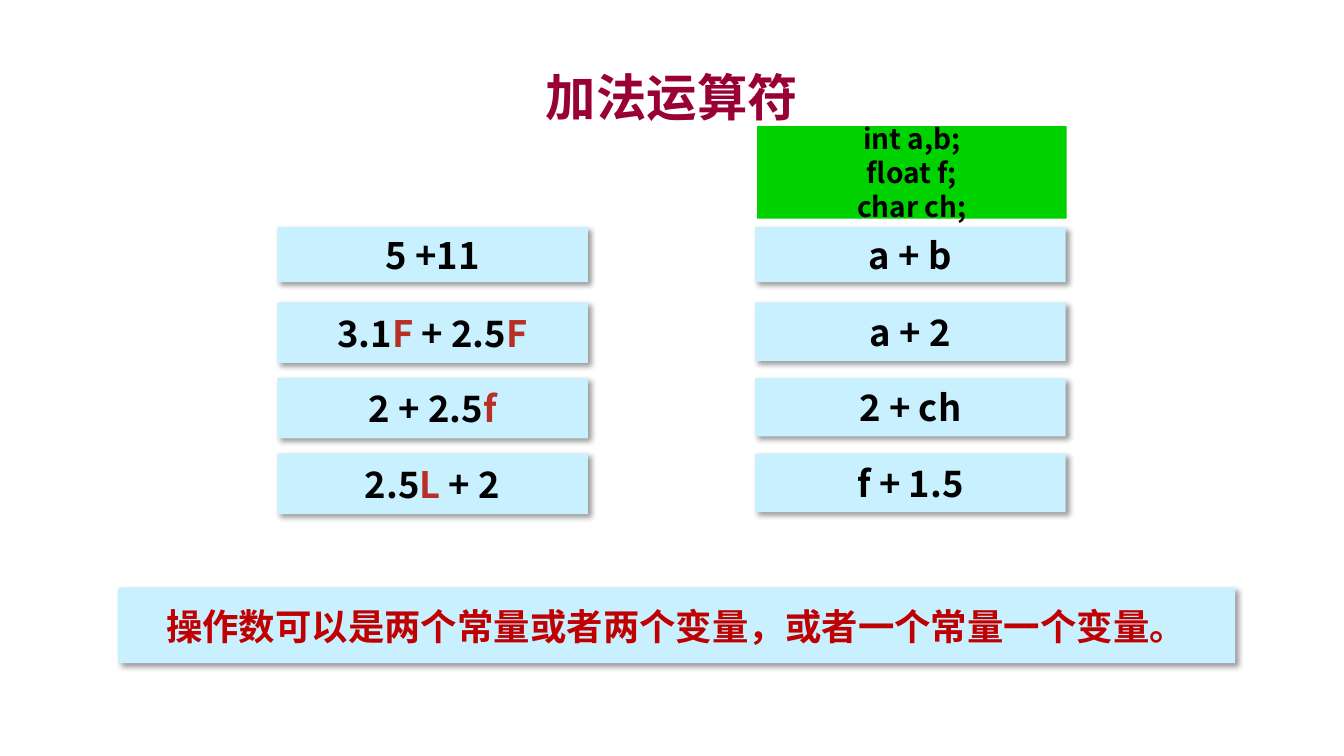
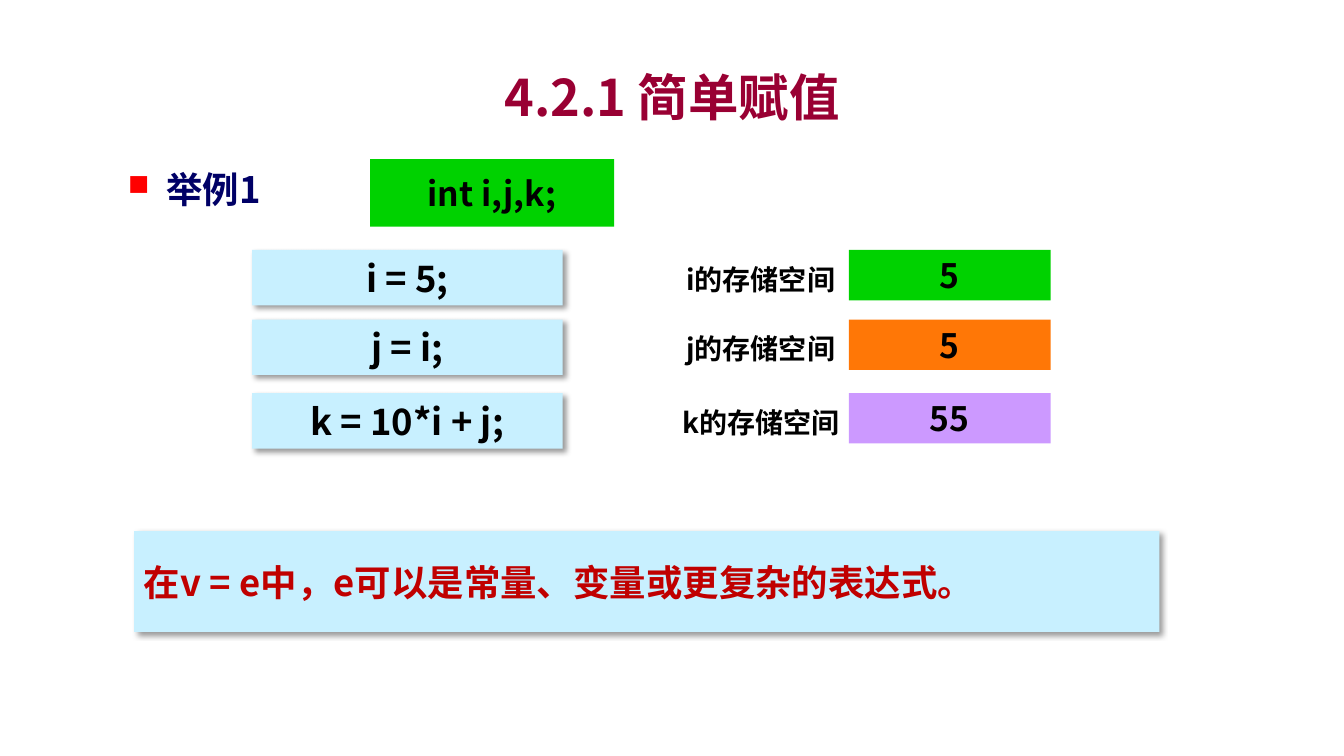
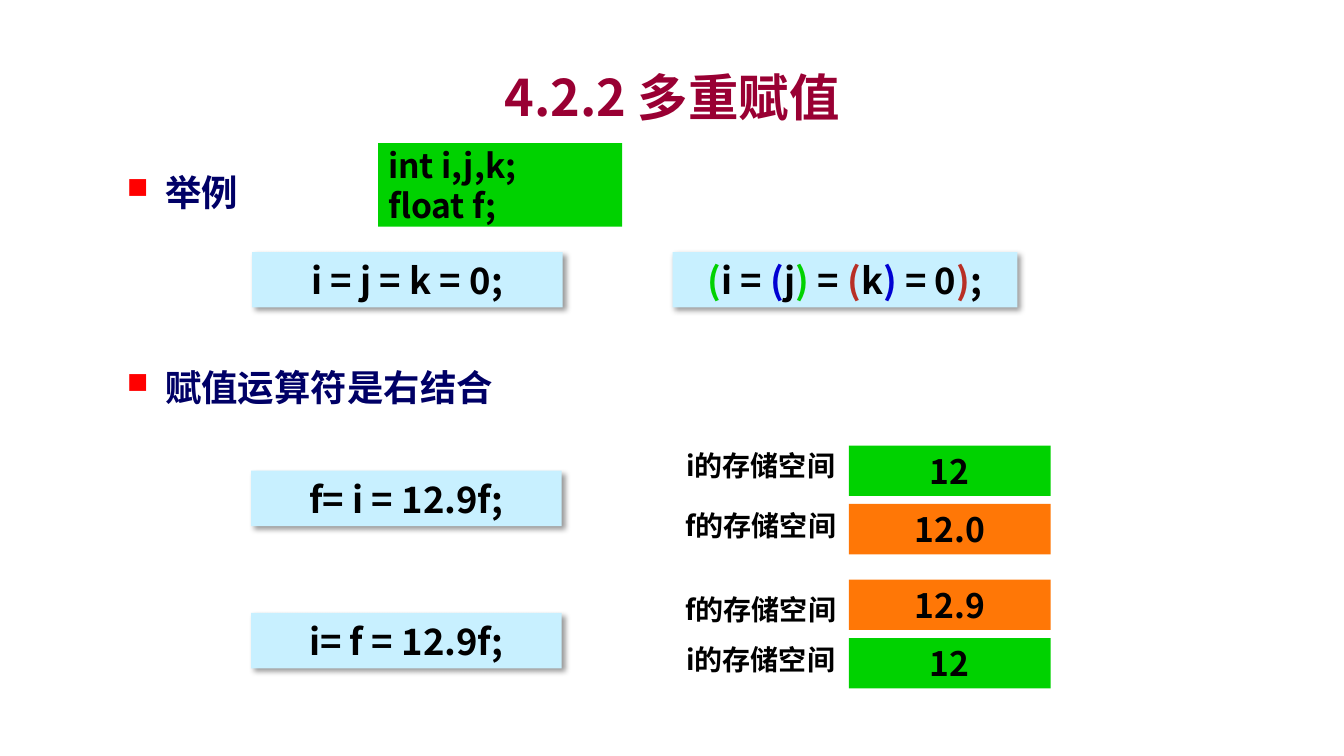
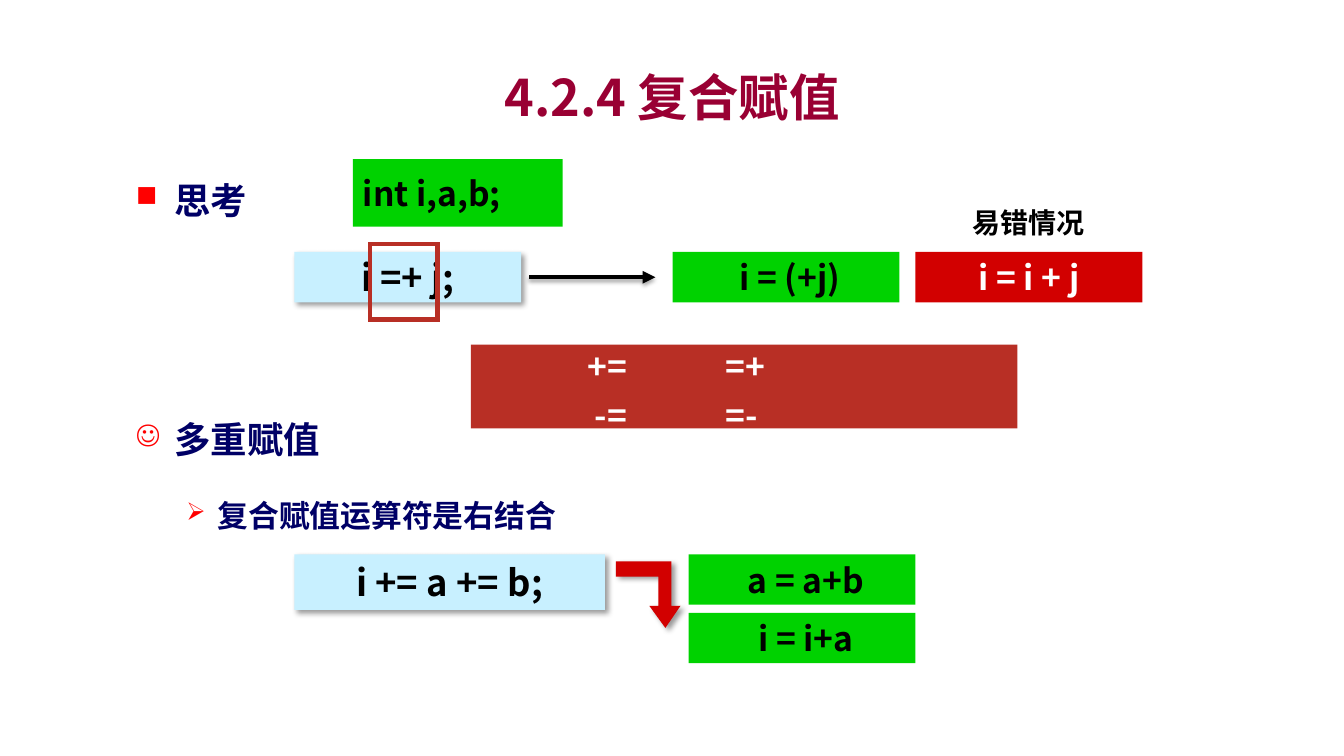
"""Build four lecture slides on addition and assignment operators."""
from dataclasses import dataclass

from lxml import etree
from pptx import Presentation
from pptx.dml.color import RGBColor as RGB
from pptx.enum.shapes import MSO_CONNECTOR as CONNECTOR, MSO_SHAPE as SHAPE
from pptx.enum.text import MSO_ANCHOR as ANCHOR, PP_ALIGN as ALIGN
from pptx.oxml.ns import qn
from pptx.util import Inches, Pt


@dataclass(frozen=True)
class Theme:
    font: str = "Noto Sans CJK SC"
    black: str = "000000"
    white: str = "FFFFFF"
    title: str = "990033"
    heading: str = "000066"
    bullet: str = "FF0000"
    pale: str = "C8F0FF"
    green: str = "00D200"
    orange: str = "FF7706"
    violet: str = "CC99FF"
    red: str = "D20000"
    brick: str = "B82F25"
    blue: str = "0000D2"
    note: str = "C00000"
    title_size: int = 36
    code_size: int = 26
    value_size: int = 24
    sub_size: int = 22
    label_size: int = 20


T = Theme()


def drop_shadow(sp, alpha=40, blur=4, dist=3, angle=45):
    effects = sp._element.spPr.find(qn("a:effectLst"))
    if effects is None:
        effects = etree.SubElement(sp._element.spPr, qn("a:effectLst"))
    shadow = etree.SubElement(effects, qn("a:outerShdw"), blurRad=str(Pt(blur)), dist=str(Pt(dist)),
                              dir=str(angle * 60000), algn="ctr", rotWithShape="0")
    color = etree.SubElement(shadow, qn("a:srgbClr"), val=T.black)
    etree.SubElement(color, qn("a:alpha"), val=str(alpha * 1000))


def add_box(s, at, lines, fill=None, size=T.value_size, ink=T.black, align=ALIGN.CENTER):
    left, top, width, height = (Inches(v) for v in at)
    if fill:
        sp = s.shapes.add_shape(SHAPE.RECTANGLE, left, top, width, height)
        sp.fill.solid()
        sp.fill.fore_color.rgb = RGB.from_string(fill)
        sp.line.fill.background()
        sp.shadow.inherit = False
        if fill == T.pale:
            drop_shadow(sp)
    else:
        sp = s.shapes.add_textbox(left, top, width, height)
    tf = sp.text_frame
    tf.word_wrap = align == ALIGN.LEFT
    tf.vertical_anchor = ANCHOR.MIDDLE
    for i, line in enumerate(lines):
        p = tf.add_paragraph() if i else tf.paragraphs[0]
        p.alignment = align
        p.font.name = T.font
        p.font.size = Pt(size)
        p.font.bold = True
        p.font.color.rgb = RGB.from_string(ink)
        etree.SubElement(p._p.pPr.find(qn("a:defRPr")), qn("a:ea"), typeface=T.font)
        for text, color in [(line, None)] if isinstance(line, str) else line:
            r = p.add_run()
            r.text = text
            if color:
                r.font.color.rgb = RGB.from_string(color)
    return sp


prs = Presentation()
prs.slide_width, prs.slide_height = Inches(13.33), Inches(7.5)
slides = []
for title in ("加法运算符", "4.2.1 简单赋值", "4.2.2 多重赋值", "4.2.4 复合赋值"):
    s = prs.slides.add_slide(prs.slide_layouts[6])
    add_box(s, (1, 0.58, 11.33, 0.75), [title], size=T.title_size, ink=T.title)
    slides.append(s)
addition, simple, multiple, compound = slides

bullets = [
    (simple, 1.17, 1.62, "■", "举例1", T.code_size, 0.38),
    (multiple, 1.16, 1.65, "■", "举例", T.code_size, 0.38),
    (multiple, 1.16, 3.59, "■", "赋值运算符是右结合", T.code_size, 0.38),
    (compound, 1.25, 1.73, "■", "思考", T.code_size, 0.38),
    (compound, 1.25, 4.11, "☺", "多重赋值", T.code_size, 0.38),
    (compound, 1.75, 4.86, "➢", "复合赋值运算符是右结合", T.sub_size, 0.31),
]
for s, left, top, mark, text, size, indent in bullets:
    sp = add_box(s, (left, top, 5, 0.5), [text], size=size, ink=T.heading, align=ALIGN.LEFT)
    pPr = sp.text_frame.paragraphs[0]._p.pPr
    pPr.set("marL", str(Inches(indent)))
    pPr.set("indent", str(Inches(-indent)))
    color = etree.Element(qn("a:buClr"))
    etree.SubElement(color, qn("a:srgbClr"), val=T.bullet)
    scale = etree.Element(qn("a:buSzPct"), val="80000")
    char = etree.Element(qn("a:buChar"), char=mark)
    for element in (color, scale, char):
        pPr.find(qn("a:defRPr")).addprevious(element)

constants = [
    "5 +11",
    [("3.1", None), ("F", T.brick), (" + 2.5", None), ("F", T.brick)],
    [("2 + 2.5", None), ("f", T.brick)],
    [("2.5", None), ("L ", T.brick), ("+ 2", None)],
]
variables = ["a + b", "a + 2", "2 + ch", "f + 1.5"]
for left, height, column in ((2.75, 0.6, constants), (7.49, 0.58, variables)):
    for i, line in enumerate(column):
        add_box(addition, (left, 2.25 + 0.75 * i, 3.08, height if i else 0.55), [line], T.pale, T.code_size)
add_box(addition, (7.51, 1.25, 3.07, 0.92), ["int a,b;", "float f;", "char ch;"], T.green, T.label_size)
add_box(addition, (1.17, 5.83, 11.08, 0.75), ["操作数可以是两个常量或者两个变量，或者一个常量一个变量。"],
        T.pale, T.code_size, T.note)

add_box(simple, (3.67, 1.58, 2.42, 0.67), ["int i,j,k;"], T.green)
add_box(simple, (1.33, 5.27, 10.17, 1), ["在v = e中，e可以是常量、变量或更复杂的表达式。"],
        T.pale, T.code_size, T.note, ALIGN.LEFT)

add_box(multiple, (3.75, 1.42, 2.42, 0.83), ["int i,j,k;", "float f;"], T.green, align=ALIGN.LEFT)
nested = [("(", T.green), ("i = ", None), ("(", T.blue), ("j", None), (")", T.green), (" = ", None),
          ("(", T.brick), ("k", None), (")", T.blue), (" = 0", None), (")", T.brick), (";", None)]
add_box(multiple, (6.67, 2.5, 3.42, 0.55), [nested], T.pale, T.code_size)

statements = [
    (simple, 2.5, 2.48, "i = 5;"),
    (simple, 2.5, 3.17, "j = i;"),
    (simple, 2.5, 3.9, "k = 10*i + j;"),
    (multiple, 2.5, 2.5, "i = j = k = 0;"),
    (multiple, 2.49, 4.67, "f= i = 12.9f;"),
    (multiple, 2.49, 6.08, "i= f = 12.9f;"),
    (compound, 2.92, 5.5, "i += a += b;"),
]
for s, left, top, text in statements:
    add_box(s, (left, top, 3.08, 0.55), [text], T.pale, T.code_size)

storage = [
    (simple, "i", 2.48, 2.48, "5", T.green),
    (simple, "j", 3.17, 3.17, "5", T.orange),
    (simple, "k", 3.9, 3.9, "55", T.violet),
    (multiple, "i", 4.33, 4.42, "12", T.green),
    (multiple, "f", 4.92, 5, "12.0", T.orange),
    (multiple, "f", 5.75, 5.75, "12.9", T.orange),
    (multiple, "i", 6.25, 6.33, "12", T.green),
]
for s, name, label_top, value_top, value, fill in storage:
    label = add_box(s, (6.67, label_top, 1.75, 0.58), [f"{name}的存储空间"], size=T.label_size)
    label.text_frame.margin_left = label.text_frame.margin_right = 0
    add_box(s, (8.42, value_top, 2, 0.5), [value], fill)

add_box(compound, (3.5, 1.58, 2.08, 0.67), ["int i,a,b;"], T.green, align=ALIGN.LEFT)
add_box(compound, (2.92, 2.5, 2.25, 0.5), ["i =+ j;"], T.pale, T.code_size)
add_box(compound, (9.33, 1.92, 1.75, 0.58), ["易错情况"], size=T.label_size)
add_box(compound, (9.08, 2.5, 2.25, 0.5), ["i = i + j"], T.red, ink=T.white)
for left, top, text in ((6.67, 2.5, " i = (+j)"), (6.83, 5.5, " a = a+b"), (6.83, 6.08, " i = i+a")):
    add_box(compound, (left, top, 2.25, 0.5), [text], T.green)

frame = compound.shapes.add_shape(SHAPE.RECTANGLE, Inches(3.67), Inches(2.42), Inches(0.67), Inches(0.75))
frame.fill.background()
frame.line.color.rgb = RGB.from_string(T.brick)
frame.line.width = Pt(3)
etree.SubElement(frame._element.spPr.find(qn("a:ln")), qn("a:miter"), lim="800000")
frame.shadow.inherit = False

arrow = compound.shapes.add_connector(CONNECTOR.STRAIGHT, Inches(5.25), Inches(2.75), Inches(6.5), Inches(2.75))
arrow.line.color.rgb = RGB.from_string(T.black)
arrow.line.width = Pt(3)
etree.SubElement(arrow._element.spPr.find(qn("a:ln")), qn("a:tailEnd"), type="triangle")
drop_shadow(arrow, 35, 3.1, 1.8, 90)

outline = [(6.6, 6.23), (6.44, 6.01), (6.53, 6.01), (6.53, 5.72), (6.11, 5.72),
           (6.11, 5.57), (6.66, 5.57), (6.66, 6.01), (6.75, 6.01)]
points = [(Inches(x), Inches(y)) for x, y in outline]
builder = compound.shapes.build_freeform(*points[0])
builder.add_line_segments(points[1:], close=True)
bent = builder.convert_to_shape()
bent.fill.solid()
bent.fill.fore_color.rgb = RGB.from_string(T.red)
bent.line.fill.background()
bent.shadow.inherit = False
drop_shadow(bent)

pairs = add_box(compound, (4.67, 3.42, 5.42, 0.83), ["\t+=\t=+", "\t-=\t=-"], T.brick,
                ink=T.white, align=ALIGN.LEFT)
for p in pairs.text_frame.paragraphs:
    p.line_spacing = 1.2
    tabs = etree.Element(qn("a:tabLst"))
    for position, side in ((1.45, "r"), (2.43, "l")):
        etree.SubElement(tabs, qn("a:tab"), pos=str(Inches(position)), algn=side)
    p._p.pPr.find(qn("a:defRPr")).addprevious(tabs)

prs.save("out.pptx")
